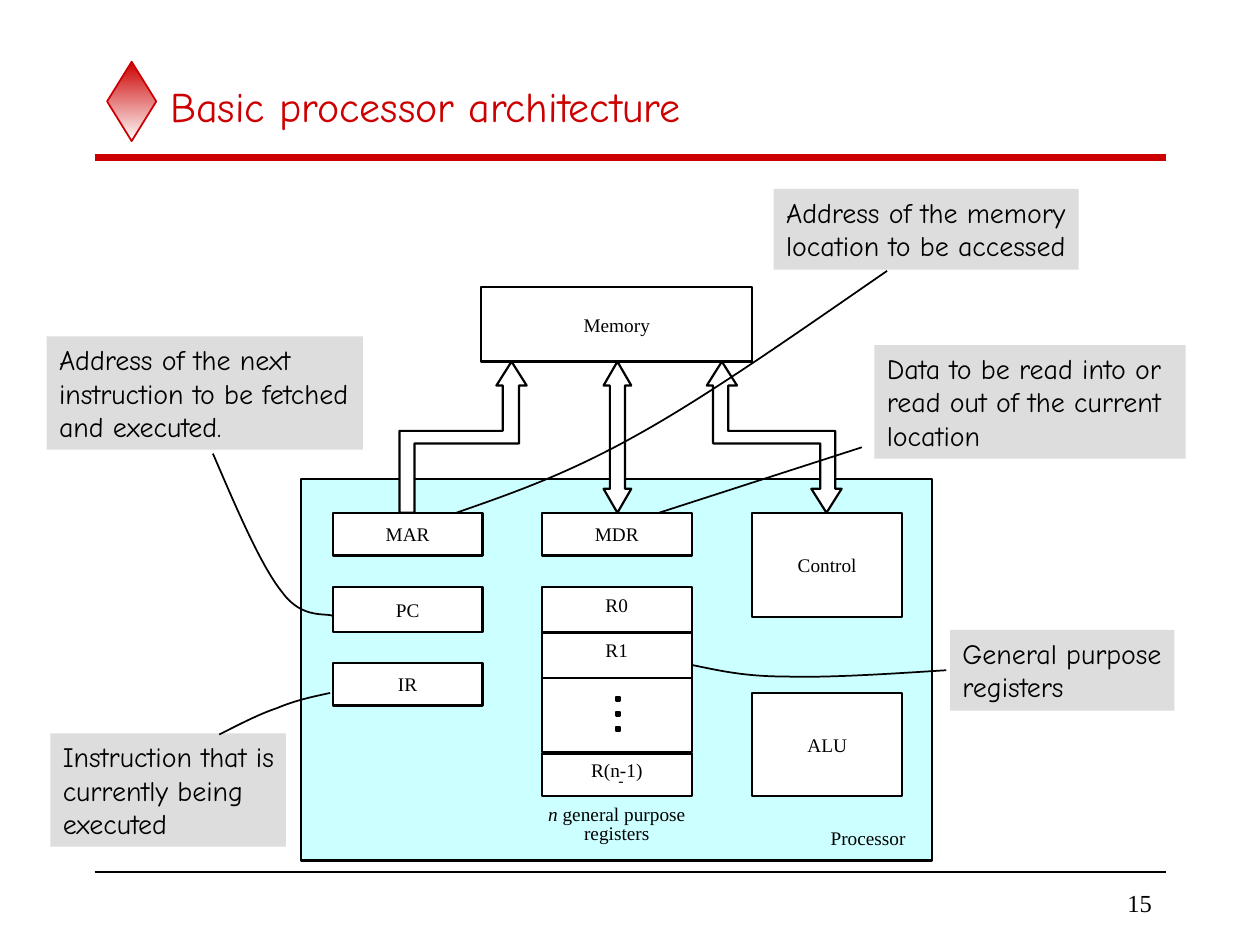
from lxml import etree
from pptx import Presentation
from pptx.dml.color import RGBColor
from pptx.enum.shapes import MSO_CONNECTOR, MSO_SHAPE
from pptx.enum.text import MSO_ANCHOR, MSO_AUTO_SIZE, PP_ALIGN
from pptx.oxml.ns import qn
from pptx.util import Cm, Pt

COLORS = {"red": "CC0000", "black": "000000", "white": "FFFFFF",
          "fade": "FEFEFE", "cyan": "CCFFFF", "grey": "DDDDDD"}
HAND, SERIF = "Comic Neue", "Times New Roman"

TITLE = "Basic processor architecture"
COLS = (2.64, 4.3, 5.97)
BOX_W = 1.19
PROCESSOR = (2.39, 3.8, 5.01, 3.03)
MEMORY = ("Memory", 3.82, 2.28, 2.15, 0.59, 0)
UNITS = [
    ("MAR", 0, 4.07, 0.34, 0),
    ("PC", 0, 4.66, 0.36, 0),
    ("IR", 0, 5.26, 0.34, 0),
    ("MDR", 1, 4.07, 0.34, 0),
    ("R0", 1, 4.66, 0.36, 0.08),
    ("R1", 1, 5.02, 0.36, 0.08),
    ("R(n-1)", 1, 5.98, 0.34, 0.08),
    ("", 1, 5.38, 0.59, 0),
    ("Control", 2, 4.07, 0.83, 0),
    ("ALU", 2, 5.5, 0.82, 0),
]
BUSES = [
    [(3.29, 4.07), (3.29, 3.52), (4.12, 3.52), (4.12, 3.06), (4.18, 3.06),
     (4.06, 2.87), (3.94, 3.06), (3.99, 3.06), (3.99, 3.42), (3.17, 3.42),
     (3.17, 4.07)],
    [(4.96, 3.06), (5.01, 3.06), (4.9, 2.87), (4.79, 3.06), (4.84, 3.06),
     (4.84, 3.88), (4.79, 3.88), (4.9, 4.07), (5.01, 3.88), (4.96, 3.88)],
    [(6.63, 3.42), (5.78, 3.42), (5.78, 3.06), (5.85, 3.06), (5.73, 2.87),
     (5.61, 3.06), (5.66, 3.06), (5.66, 3.52), (6.51, 3.52), (6.51, 3.88),
     (6.44, 3.88), (6.56, 4.07), (6.68, 3.88), (6.63, 3.88)],
]
LABELS = [
    ([[("Processor", False)]], 6.49, 6.56, 0.8, 11),
    ([[("-", False)]], 4.83, 6.12, 0.2, 9),
    ([[("n", True), (" general purpose", False)], [("registers", False)]],
     4.3, 6.4, 1.19, 11),
]
CALLOUTS = [
    (("Address of the memory", "location to be accessed"), 6.14, 1.5, 2.42, 0.64),
    (("Address of the next", "instruction to be fetched", "and executed."),
     0.37, 2.67, 2.51, 0.9),
    (("Instruction that is", "currently being", "executed"), 0.4, 5.82, 1.87, 0.9),
    (("Data to be read into or", "read out of the current", "location"),
     6.94, 2.74, 2.47, 0.9),
    (("General purpose", "registers"), 7.54, 5, 1.78, 0.64),
]
CURVES = [
    [(1.74, 5.83), (1.9, 5.75), (2.05, 5.67), (2.2, 5.62),
     (2.34, 5.56), (2.48, 5.53), (2.62, 5.5)],
    [(1.69, 3.6), (1.88, 4.04), (2.07, 4.49), (2.24, 4.7),
     (2.4, 4.92), (2.59, 4.86), (2.65, 4.89)],
    [(7.04, 2.15), (6.33, 2.64), (5.62, 3.14), (5.06, 3.45),
     (4.49, 3.77), (4.05, 3.92), (3.62, 4.07)],
    [(7.51, 5.32), (7.04, 5.35), (6.57, 5.38), (6.24, 5.37),
     (5.9, 5.37), (5.7, 5.32), (5.5, 5.28)],
]
RULES = [
    ((0.75, 1.25), (9.25, 1.25), "red", 4),
    ((0.75, 6.92), (9.25, 6.92), "black", 1),
    ((6.84, 3.55), (5.23, 4.07), "black", 1),
]


def inches(*values):
    return [Cm(v * 2.54) for v in values]


def rgb(name):
    return RGBColor.from_string(COLORS[name])


def style(sp, fill, line="black", width=1.25):
    sp.shadow.inherit = False
    if fill:
        sp.fill.solid()
        sp.fill.fore_color.rgb = rgb(fill)
    else:
        sp.fill.background()
    if line:
        sp.line.color.rgb = rgb(line)
        sp.line.width = Pt(width)
    else:
        sp.line.fill.background()
    return sp


def add_box(s, at, fill, line="black", kind=MSO_SHAPE.RECTANGLE):
    return style(s.shapes.add_shape(kind, *inches(*at)), fill, line)


def add_free(s, points, fill, closed, width=1.25):
    start, *rest = [tuple(inches(*pt)) for pt in points]
    fb = s.shapes.build_freeform(*start, scale=1.0)
    fb.add_line_segments(rest, close=closed)
    return style(fb.convert_to_shape(), fill, width=width)


def add_curve(s, points):
    sp = add_free(s, points, None, False, 1)
    path = next(sp._element.iter(qn("a:path")))
    lines = path.findall(qn("a:lnTo"))
    for i in range(0, len(lines), 3):
        bezier = etree.SubElement(path, qn("a:cubicBezTo"))
        for ln in lines[i:i + 3]:
            bezier.append(ln[0])
            path.remove(ln)


def add_line(s, start, end, color, width):
    c = s.shapes.add_connector(MSO_CONNECTOR.STRAIGHT, *inches(*start, *end))
    c.line.color.rgb = rgb(color)
    c.line.width = Pt(width)
    etree.SubElement(c._element.spPr, qn("a:effectLst"))


def write(sp, paras, font, size, color="black", align=PP_ALIGN.CENTER,
          anchor=MSO_ANCHOR.MIDDLE, margins=(0, 0, 0, 0), spacing=None):
    tf = sp.text_frame
    tf.word_wrap = True
    tf.auto_size = MSO_AUTO_SIZE.NONE
    tf.vertical_anchor = anchor
    (tf.margin_left, tf.margin_top,
     tf.margin_right, tf.margin_bottom) = inches(*margins)
    for i, runs in enumerate(paras):
        p = tf.add_paragraph() if i else tf.paragraphs[0]
        p.alignment = align
        if spacing:
            p.line_spacing = spacing
        for text, italic in runs:
            r = p.add_run()
            r.text = text
            r.font.name = font
            r.font.size = Pt(size)
            r.font.italic = italic
            r.font.color.rgb = rgb(color)


def main():
    prs = Presentation()
    prs.slide_width, prs.slide_height = inches(10, 7.5)
    s = prs.slides.add_slide(prs.slide_layouts[5])
    pad = (0.1, 0.05, 0.1, 0.05)

    title = s.shapes.title
    title.left, title.top, title.width, title.height = inches(1.25, 0.5, 8, 0.67)
    write(title, [[(TITLE, False)]], HAND, 24, "red", PP_ALIGN.LEFT, margins=pad)

    diamond = add_box(s, (0.85, 0.49, 0.39, 0.63), "red", "red", MSO_SHAPE.DIAMOND)
    diamond.line.width = Pt(1)
    diamond.fill.gradient()
    diamond.fill.gradient_angle = 270
    for stop, name, pos in zip(diamond.fill.gradient_stops, ("red", "fade"), (0, 1)):
        stop.color.rgb = rgb(name)
        stop.position = pos

    add_box(s, PROCESSOR, "cyan")
    for points in BUSES:
        add_free(s, points, "white", True)

    units = [(name, COLS[col], top, BOX_W, h, lift) for name, col, top, h, lift in UNITS]
    for name, *at, lift in [MEMORY] + units:
        sp = add_box(s, at, "white")
        if name:
            write(sp, [[(name, False)]], SERIF, 11, margins=(0, 0, 0, lift))
    for i in range(3):
        add_box(s, (4.89, 5.53 + 0.12 * i, 0.03, 0.03), "black")

    for paras, left, top, width, size in LABELS:
        sp = s.shapes.add_textbox(*inches(left, top, width, 0.18 * len(paras)))
        write(sp, paras, SERIF, size, anchor=MSO_ANCHOR.TOP,
              spacing=Pt(11) if len(paras) > 1 else None)

    for lines, *at in CALLOUTS:
        write(add_box(s, at, "grey", None), [[(line, False)] for line in lines],
              HAND, 16, align=PP_ALIGN.LEFT, anchor=MSO_ANCHOR.TOP,
              margins=(0.1, 0.05, 0, 0.05))
    for points in CURVES:
        add_curve(s, points)
    for rule in RULES:
        add_line(s, *rule)

    number = s.shapes.add_textbox(*inches(7.83, 7, 1.41, 0.33))
    write(number, [[("15", False)]], SERIF, 14, align=PP_ALIGN.RIGHT, margins=pad)
    prs.save("out.pptx")


if __name__ == "__main__":
    main()
